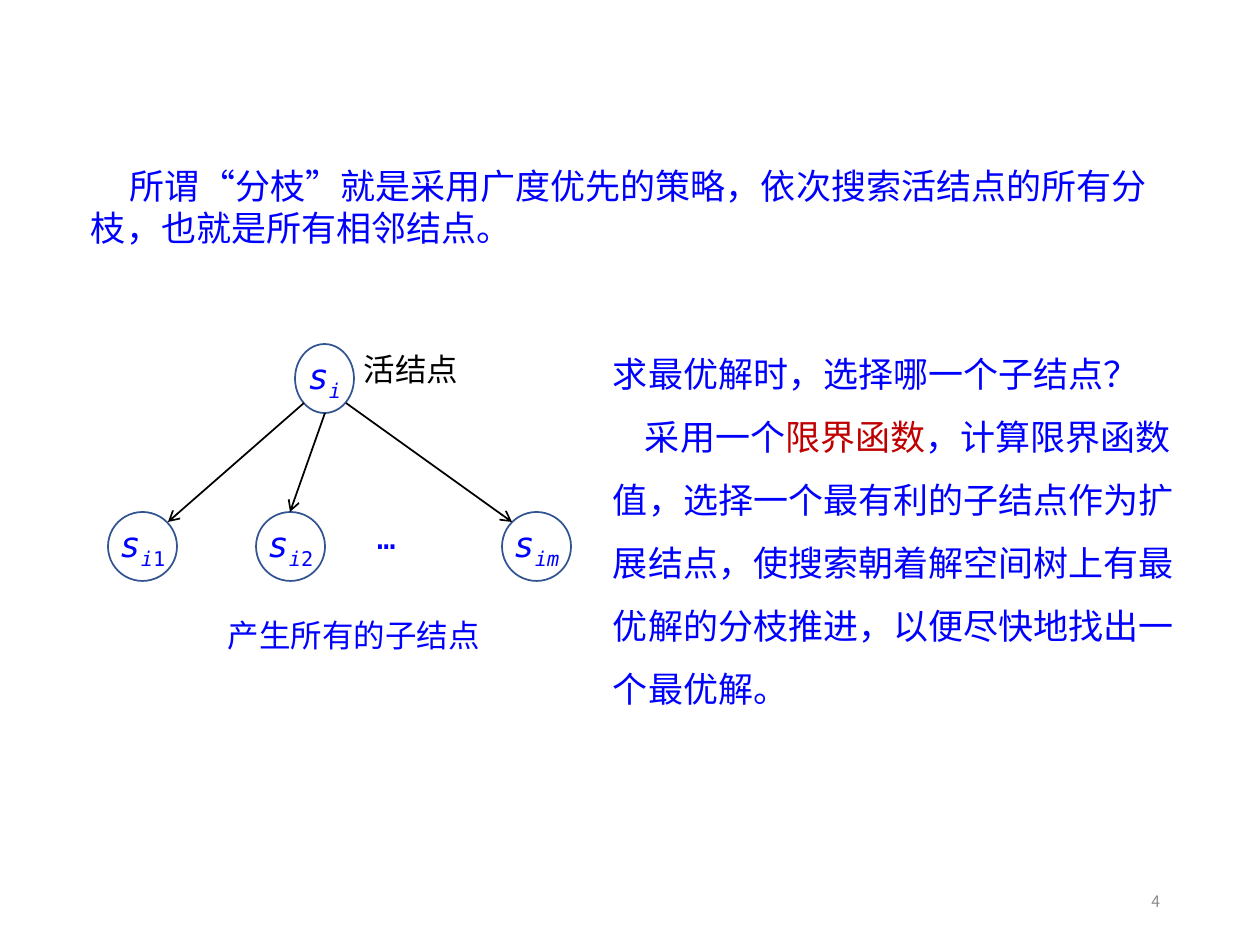
from lxml import etree
from pptx import Presentation
from pptx.dml.color import RGBColor
from pptx.enum.shapes import MSO_CONNECTOR as LINE, MSO_SHAPE as SHAPE
from pptx.enum.text import MSO_ANCHOR as ANCHOR, PP_ALIGN as ALIGN
from pptx.oxml.ns import qn
from pptx.util import Pt

PX = 914400 / 126
MONO, SANS = "DejaVu Sans Mono", "Noto Sans CJK SC"
BLUE, RED, BLACK, GREY = "0000FF", "C00000", "000000", "8C8C8C"


def px(*lengths):
    return [round(n * PX) for n in lengths]


def write(s, *paras, size=20, color=BLUE, font=MONO, align=ALIGN.LEFT,
          anchor=ANCHOR.TOP, spacing=None, inset=13):
    """Each paragraph is (first-line indent, runs); a run is (text, format)."""
    tf = s.text_frame
    tf.word_wrap = True
    tf.vertical_anchor = anchor
    tf.margin_left = tf.margin_right = px(inset)[0]
    for i, (indent, runs) in enumerate(paras):
        p = tf.add_paragraph() if i else tf.paragraphs[0]
        p.alignment = align
        p.line_spacing = spacing
        if indent:
            p._p.get_or_add_pPr().set("indent", str(px(indent)[0]))
        for text, fmt in runs:
            r = p.add_run()
            r.text = text
            r.font.size = Pt(size)
            r.font.name = font
            r.font.italic = fmt.get("italic")
            r.font.color.rgb = RGBColor.from_string(fmt.get("color", color))
            rPr = r._r.get_or_add_rPr()
            etree.SubElement(rPr, qn("a:ea")).set("typeface", SANS)
            if fmt.get("sub"):
                rPr.set("baseline", "-25000")


prs = Presentation()
prs.slide_width, prs.slide_height = px(1260, 945)
slide = prs.slides.add_slide(prs.slide_layouts[6])
shapes = slide.shapes

# Explanations
s = shapes.add_textbox(*px(78, 158, 1103, 97))
write(s, (39, [("所谓“分枝”就是采用广度优先的策略，依次搜索活结点的所有分枝，也就是所有相邻结点。", {})]))

s = shapes.add_textbox(*px(600, 325, 610, 394))
write(s,
      (0, [("求最优解时，选择哪一个子结点？", {})]),
      (32, [("采用一个", {}),
            ("限界函数", {"color": RED}),
            ("，计算限界函数值，选择一个最有利的子结点作为扩展结点，"
             "使搜索朝着解空间树上有最优解的分枝推进，以便尽快地找出一个最优解。", {})]),
      spacing=1.5)

# Tree nodes: left, top, width, italic subscript, upright subscript
for x, y, w, index, number in [(295, 344, 59, "i", ""), (108, 512, 69, "i", "1"),
                               (256, 512, 69, "i", "2"), (502, 512, 69, "im", "")]:
    s = shapes.add_shape(SHAPE.OVAL, *px(x, y, w, 69))
    s.shadow.inherit = False
    s.fill.solid()
    s.fill.fore_color.rgb = RGBColor.from_string("FFFFFF")
    s.line.color.rgb = RGBColor.from_string("325491")
    s.line.width = Pt(1)
    runs = [("s", {"italic": True}), (index, {"italic": True, "sub": True})]
    if number:
        runs.append((number, {"sub": True}))
    write(s, (0, runs), align=ALIGN.CENTER, anchor=ANCHOR.MIDDLE, inset=0)

# Branches from the live node to its children
for ends in [(304, 403, 168, 522), (325, 413, 290, 512), (346, 403, 512, 522)]:
    s = shapes.add_connector(LINE.STRAIGHT, *px(*ends))
    s.line.color.rgb = RGBColor.from_string(BLACK)
    s.line.width = Pt(1)
    etree.SubElement(s.line._get_or_add_ln(), qn("a:tailEnd")).set("type", "arrow")
    etree.SubElement(s._element.spPr, qn("a:effectLst"))

# Labels
for text, box, fmt in [
    ("…", (364, 512, 98, 63), {}),
    ("活结点", (364, 344, 129, 50), {"color": BLACK, "inset": 0}),
    ("产生所有的子结点", (186, 610, 335, 50), {"align": ALIGN.CENTER, "inset": 0}),
    ("4", (890, 876, 283, 50), {"size": 9, "color": GREY, "font": SANS,
                                "align": ALIGN.RIGHT, "anchor": ANCHOR.MIDDLE}),
]:
    s = shapes.add_textbox(*px(*box))
    write(s, (0, [(text, {})]), **{"size": 18, **fmt})

prs.save("out.pptx")
